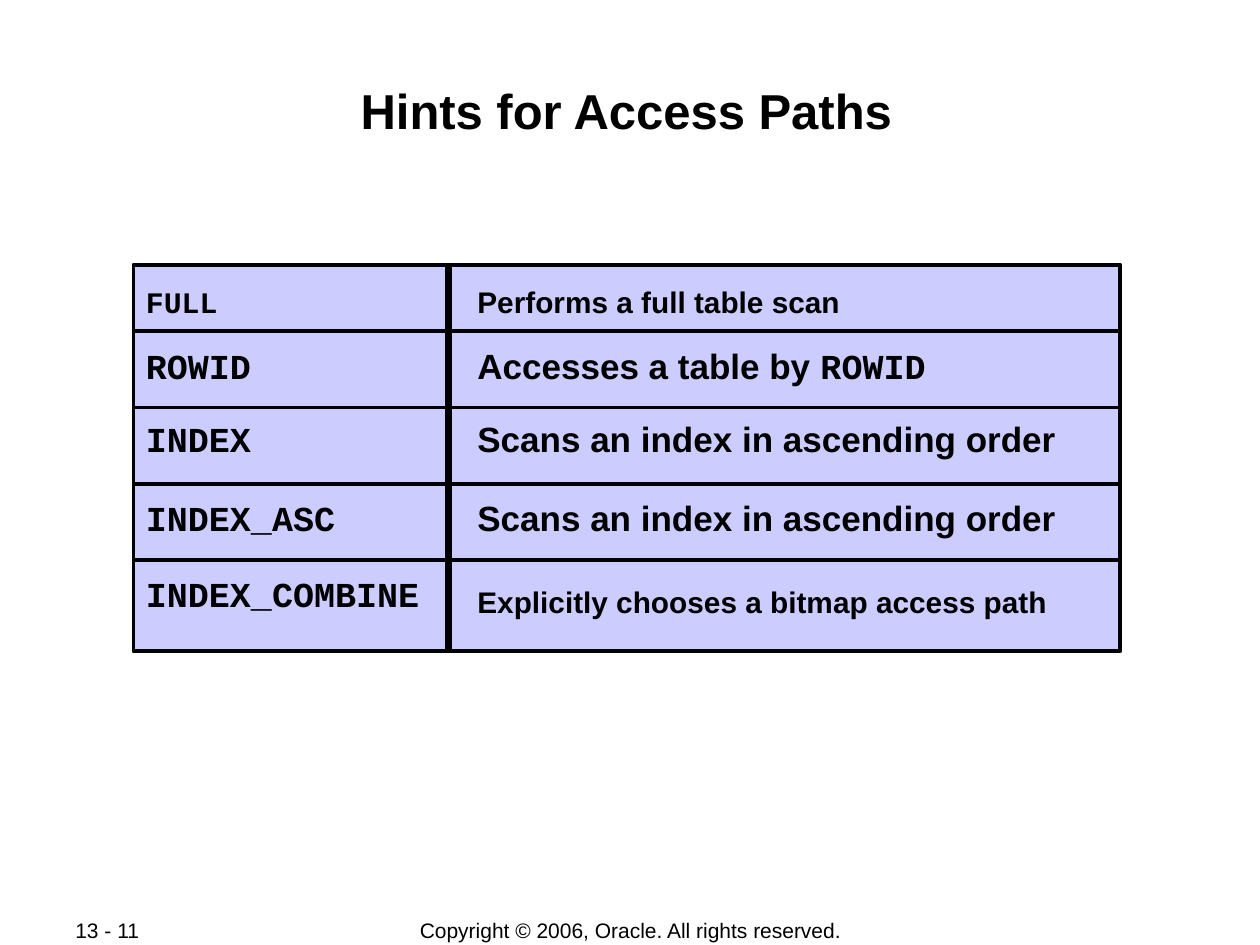
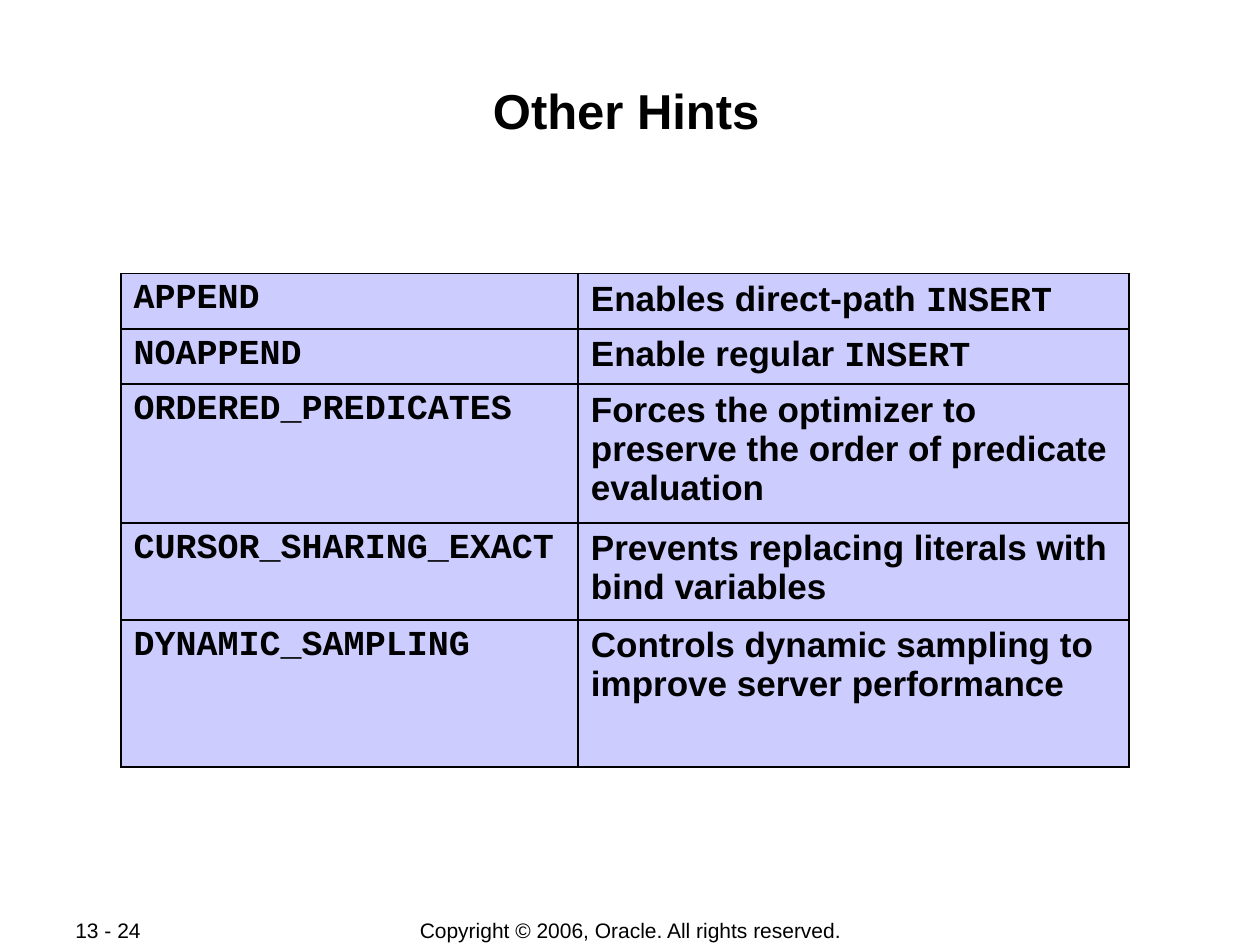
from dataclasses import dataclass

from lxml import etree
from pptx import Presentation
from pptx import util as u
from pptx.dml.color import RGBColor
from pptx.enum import shapes, text
from pptx.oxml import ns

HUES = {"ink": "000000", "cell": "CCCCFF", "page": "FFFFFF"}
SANS, MONO = "Arial", "Courier New"
COLS, ROWS = 100, 75
WIDE, TALL = u.Inches(10), u.Inches(7.5)
LEFT, MID = text.PP_ALIGN.LEFT, text.PP_ALIGN.CENTER


@dataclass
class Box:
    x: float
    y: float
    w: float
    h: float

    def place(self) -> tuple:
        return across(self.x), down(self.y), across(self.w), down(self.h)


@dataclass
class Hint:
    name: str
    role: str
    size: tuple = (20, 20)
    mids: tuple = (0, 0)
    tall: float = 5.4


TITLE = Box(9.7, 5.8, 80, 9.6)
PAGE = Box(5, 72.8, 10.6, 2)
RIGHTS = Box(27.6, 72.8, 44.9, 2.1)
PANEL = Box(10.6, 21, 78.3, 30.7)
SPLIT, FIRST, STEP = 35.6, 26.3, 6.04
SPANS = ((10.6, 25), (36.9, 52.2))
TABLE = Box(9.6, 21.7, 80, 39.2)
SIDES = (36.3, 43.7)
HEIGHTS = (4.4, 4.4, 11, 7.7, 11.7)

PATHS = [
    Hint("`FULL`", "Performs a full table scan", (17, 17), (24.15, 24.15), 4.1),
    Hint("`ROWID`", "Accesses a table by `ROWID`", mids=(29, 29)),
    Hint("`INDEX`", "Scans an index in ascending order", mids=(34.8, 34.8)),
    Hint("`INDEX_ASC`", "Scans an index in ascending order", mids=(41.05, 41.05)),
    Hint("`INDEX_COMBINE`", "Explicitly chooses a bitmap access path", (20, 17), (47.1, 47.9)),
]
OTHERS = [
    Hint("`APPEND`", "Enables direct-path `INSERT`"),
    Hint("`NOAPPEND`", "Enable regular `INSERT`"),
    Hint("`ORDERED_PREDICATES`", "Forces the optimizer to preserve the order of predicate evaluation"),
    Hint("`CURSOR_SHARING_EXACT`", "Prevents replacing literals with bind variables"),
    Hint("`DYNAMIC_SAMPLING`", "Controls dynamic sampling to improve server performance"),
]


def across(cols: float) -> int:
    return round(WIDE * cols / COLS)


def down(rows: float) -> int:
    return round(TALL * rows / ROWS)


def hue(name: str) -> RGBColor:
    return RGBColor.from_string(HUES[name])


def write(frame, words: str, *, size: float = 20, bold: bool = True,
          align=LEFT, lead: float = 1.0) -> None:
    line = frame.paragraphs[0]
    line.alignment, line.line_spacing = align, lead
    line.space_before = u.Pt(0)
    for spot, part in enumerate(words.split("`")):
        if part:
            run = line.add_run()
            run.text = part
            run.font.name = MONO if spot % 2 else SANS
            run.font.size, run.font.bold = u.Pt(size), bold
            run.font.color.rgb = hue("ink")


def label(group, box: Box, words: str, pad: float = 0.05, **style) -> None:
    frame = group.add_textbox(*box.place()).text_frame
    frame.word_wrap = True
    frame.vertical_anchor = text.MSO_ANCHOR.MIDDLE
    frame.margin_top = frame.margin_bottom = u.Inches(pad)
    write(frame, words, **style)


def rule(group, x: float, y: float, w: float, h: float, weight: float) -> None:
    line = group.add_connector(shapes.MSO_CONNECTOR.STRAIGHT, across(x), down(y),
                               across(x + w), down(y + h))
    line.line.color.rgb, line.line.width = hue("ink"), u.Pt(weight)
    etree.SubElement(line._element.spPr, ns.qn("a:effectLst"))


def edge(cell, weight: float) -> None:
    props = cell._tc.get_or_add_tcPr()
    for spot, side in enumerate("LRTB"):
        line = etree.Element(ns.qn(f"a:ln{side}"), w=str(u.Pt(weight)))
        fill = etree.SubElement(line, ns.qn("a:solidFill"))
        etree.SubElement(fill, ns.qn("a:srgbClr"), val=HUES["ink"])
        props.insert(spot, line)


def start(deck, name: str, page: str):
    slide = deck.slides.add_slide(deck.slide_layouts[5])
    slide.background.fill.solid()
    slide.background.fill.fore_color.rgb = hue("page")
    head = slide.shapes.title
    head.left, head.top, head.width, head.height = TITLE.place()
    frame = head.text_frame
    frame.auto_size, frame.word_wrap = text.MSO_AUTO_SIZE.NONE, True
    frame.vertical_anchor = text.MSO_ANCHOR.TOP
    frame.margin_left = frame.margin_right = frame.margin_bottom = u.Inches(0.01)
    frame.margin_top = u.Inches(0.06)
    write(frame, name, size=28, align=MID)
    label(slide.shapes, PAGE, page, pad=0, size=12, bold=False)
    label(slide.shapes, RIGHTS, "Copyright © 2006, Oracle. All rights reserved.",
          pad=0, size=12, bold=False, align=MID)
    return slide


def panel(slide, hints: list[Hint]) -> None:
    group = slide.shapes.add_group_shape().shapes
    back = group.add_shape(shapes.MSO_SHAPE.RECTANGLE, *PANEL.place())
    back.shadow.inherit = False
    back.fill.solid()
    back.fill.fore_color.rgb = hue("cell")
    back.line.color.rgb, back.line.width = hue("ink"), u.Pt(2.25)
    for hint in hints:
        for (x, w), words, size, mid in zip(SPANS, (hint.name, hint.role), hint.size, hint.mids):
            label(group, Box(x, mid - hint.tall / 2, w, hint.tall), words,
                  size=size, lead=0.9 if size < 20 else 1.0)
    rule(group, SPLIT, PANEL.y, 0, PANEL.h, 4.5)
    for row in range(len(hints) - 1):
        rule(group, PANEL.x, FIRST + row * STEP, PANEL.w, 0, 2.25)


def table(slide, hints: list[Hint]) -> None:
    grid = slide.shapes.add_table(len(hints), len(SIDES), *TABLE.place()).table
    grid.first_row = grid.horz_banding = False
    for col, width in zip(grid.columns, SIDES):
        col.width = across(width)
    for row, height, hint in zip(grid.rows, HEIGHTS, hints):
        row.height = down(height)
        for cell, words, size in zip(row.cells, (hint.name, hint.role), hint.size):
            cell.fill.solid()
            cell.fill.fore_color.rgb = hue("cell")
            edge(cell, 1.08)
            write(cell.text_frame, words, size=size)


def main() -> None:
    deck = Presentation()
    deck.slide_width, deck.slide_height = WIDE, TALL
    panel(start(deck, "Hints for Access Paths", "13 - 11"), PATHS)
    table(start(deck, "Other Hints", "13 - 24"), OTHERS)
    deck.save("out.pptx")


if __name__ == "__main__":
    main()
